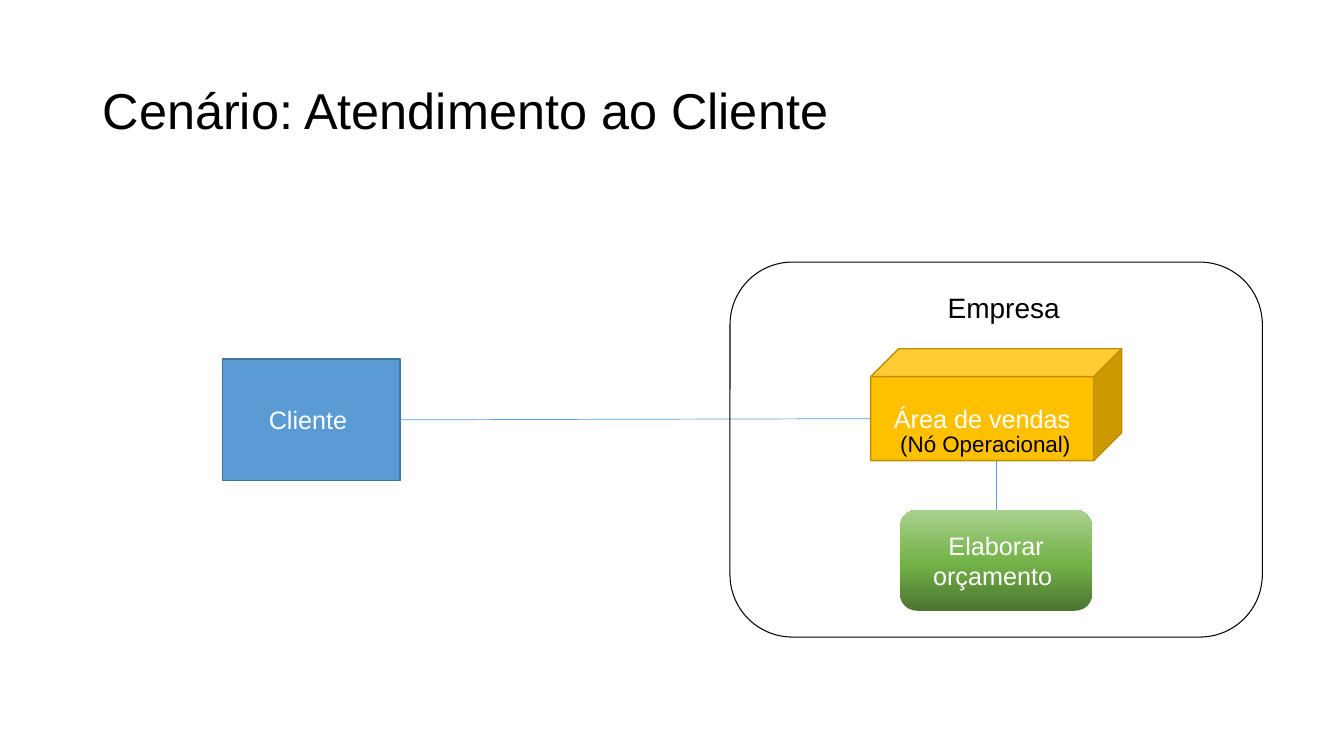
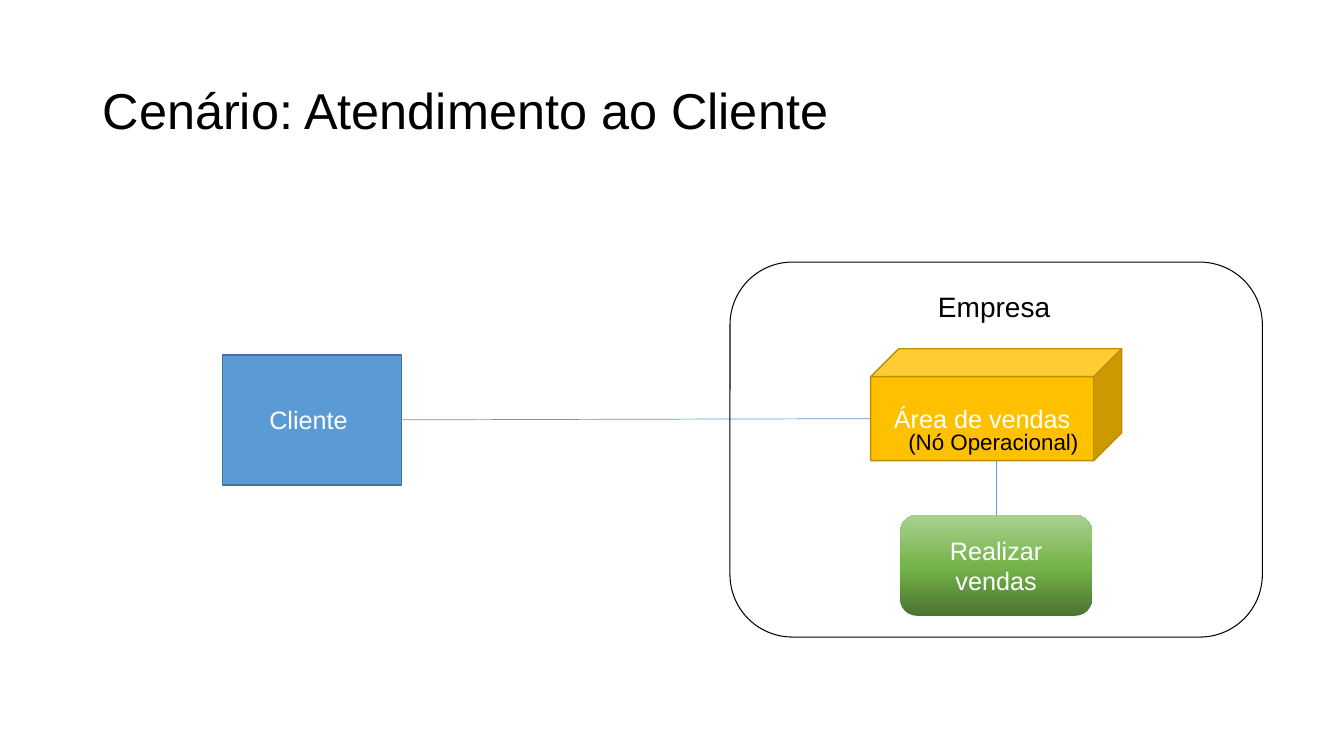
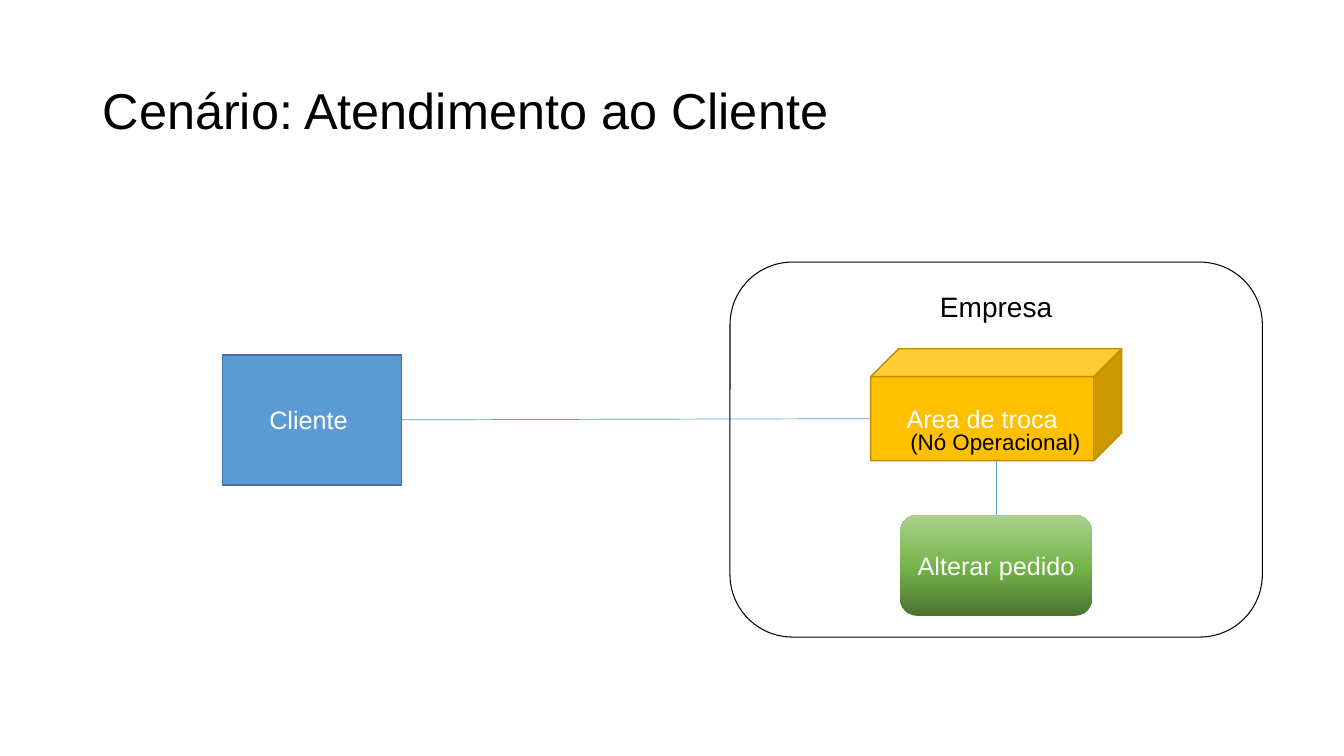
from copy import deepcopy
from pptx import Presentation
from pptx.dml.color import RGBColor
from pptx.enum.shapes import MSO_CONNECTOR, MSO_SHAPE
from pptx.enum.text import MSO_ANCHOR, MSO_AUTO_SIZE, PP_ALIGN
from pptx.oxml.ns import qn
from pptx.util import Inches, Pt
from lxml.etree import SubElement

COLORS = {
    "text": "000000", "inverse": "FFFFFF", "client": "5B9BD5",
    "client_edge": "43739E", "area": "FFC000", "area_edge": "BD8E00",
    "task_dark": "4B7430", "task_mid": "74B349", "task_light": "A9D18E",
}
FONT = "Arial"
TITLE = "Cenário: Atendimento ao Cliente"
TITLE_BOX = (0.92, 0.4, 11.5, 1.45)
COMPANY_BOX = (7.24, 2.6, 5.28, 3.72)
AREA_SIZE = (2.49, 1.11)
AREA_TOP = 0.86
AREA_DEPTH = 0.25
TASK_SIZE = (1.9, 1)
TASK_STOPS = ((0, "task_dark"), (0.48, "task_mid"), (1, "task_light"))

TITLE_FRAME = {"word_wrap": True, "vertical_anchor": MSO_ANCHOR.MIDDLE}
LABEL_FRAME = {"word_wrap": True, "auto_size": MSO_AUTO_SIZE.SHAPE_TO_FIT_TEXT}
NOTE_FRAME = {**LABEL_FRAME, "word_wrap": False}
LEFT = {"alignment": PP_ALIGN.LEFT}
CENTER = {"alignment": PP_ALIGN.CENTER}

SCENARIOS = [
    {"client": (2.21, 3.56, 1.76, 1.21), "area": "Área de vendas",
     "task": "Elaborar orçamento ", "task_top": 2.46,
     "label": (0.25, 0.23, 4.93), "note": (1.59, 1.62)},
    {"client": (2.21, 3.52, 1.77, 1.29), "area": "Área de vendas",
     "task": "Realizar vendas", "task_top": 2.51,
     "label": (0.29, 0.22, 4.66), "note": (1.67, 1.6)},
    {"client": (2.21, 3.52, 1.77, 1.29), "area": "Area de troca",
     "task": "Alterar pedido", "task_top": 2.51,
     "label": (0.31, 0.22, 4.66), "note": (1.69, 1.6)},
]


def rgb(name):
    return RGBColor.from_string(COLORS[name])


def apply(target, values):
    for attribute, value in values.items():
        setattr(target, attribute, value)


def write(holder, text, size, color, frame_format, paragraph_format):
    frame = holder.text_frame
    paragraph = frame.paragraphs[0]
    run = paragraph.add_run()
    run.text = text
    apply(frame, frame_format)
    apply(paragraph, paragraph_format)
    apply(run.font, {"name": FONT, "size": Pt(size)})
    run.font.color.rgb = rgb(color)


def add_text(slide, box, text, size, frame_format, paragraph_format):
    holder = slide.shapes.add_textbox(*map(Inches, box))
    write(holder, text, size, "text", frame_format, paragraph_format)


def add_block(slide, kind, box, fill=None, edge=None, edge_width=1, text=None):
    block = slide.shapes.add_shape(kind, *map(Inches, box))
    block.shadow.inherit = False
    if fill:
        block.fill.solid()
        block.fill.fore_color.rgb = rgb(fill)
    else:
        block.fill.background()
    if edge:
        block.line.color.rgb = rgb(edge)
        block.line.width = Pt(edge_width)
    else:
        block.line.fill.background()
    if text:
        write(block, text, 18, "inverse", TITLE_FRAME, CENTER)
    return block


def add_link(slide, start, end):
    link = slide.shapes.add_connector(
        MSO_CONNECTOR.STRAIGHT, *map(Inches, (*start, *end)))
    link.line.color.rgb = rgb("client")
    link.line.width = Pt(0.5)
    SubElement(link._element.spPr, qn("a:effectLst"))


def shade_task(task):
    task.fill.gradient()
    task.fill.gradient_angle = 90
    stop_list = task._element.spPr.find(qn("a:gradFill")).find(qn("a:gsLst"))
    stop_list.insert(1, deepcopy(stop_list[0]))
    for stop, (position, color) in zip(task.fill.gradient_stops, TASK_STOPS):
        stop.position = position
        stop.color.rgb = rgb(color)


def add_title(slide, box):
    add_text(slide, box, TITLE, 36, TITLE_FRAME, {**LEFT, "line_spacing": 0.9})


def add_client(slide, box):
    add_block(slide, MSO_SHAPE.RECTANGLE, box, "client", "client_edge",
              text="Cliente ")
    left, top, width, height = box
    return left + width, top + height / 2


def add_company(slide, box, scenario, client_side):
    left, top, width, height = box
    center = left + width / 2
    area_width, area_height = AREA_SIZE
    area_left, area_top = center - area_width / 2, top + AREA_TOP
    area_bottom = area_top + area_height
    task_width, task_height = TASK_SIZE
    task_top = top + scenario["task_top"]
    label_left, label_top, label_width = scenario["label"]
    note_left, note_top = scenario["note"]

    add_text(slide, (left + label_left, top + label_top, label_width, 0.44),
             "Empresa", 20, LABEL_FRAME, CENTER)
    add_link(slide, client_side,
             (area_left, area_top + area_height * (1 + AREA_DEPTH) / 2))
    add_block(slide, MSO_SHAPE.ROUNDED_RECTANGLE, box,
              edge="text", edge_width=0.75)
    add_block(slide, MSO_SHAPE.CUBE,
              (area_left, area_top, area_width, area_height),
              "area", "area_edge", text=scenario["area"])
    add_text(slide, (left + note_left, top + note_top, 1.91, 0.37),
             "(Nó Operacional)", 16, NOTE_FRAME, LEFT)
    task = add_block(slide, MSO_SHAPE.ROUNDED_RECTANGLE,
                     (center - task_width / 2, task_top, task_width, task_height),
                     text=scenario["task"])
    shade_task(task)
    add_link(slide, (center, area_bottom), (center, task_top))


def add_scenario(deck, scenario):
    slide = deck.slides.add_slide(deck.slide_layouts[6])
    add_title(slide, TITLE_BOX)
    client_side = add_client(slide, scenario["client"])
    add_company(slide, COMPANY_BOX, scenario, client_side)


deck = Presentation()
apply(deck, {"slide_width": Inches(13.33), "slide_height": Inches(7.5)})
for scenario in SCENARIOS:
    add_scenario(deck, scenario)
deck.save("out.pptx")
